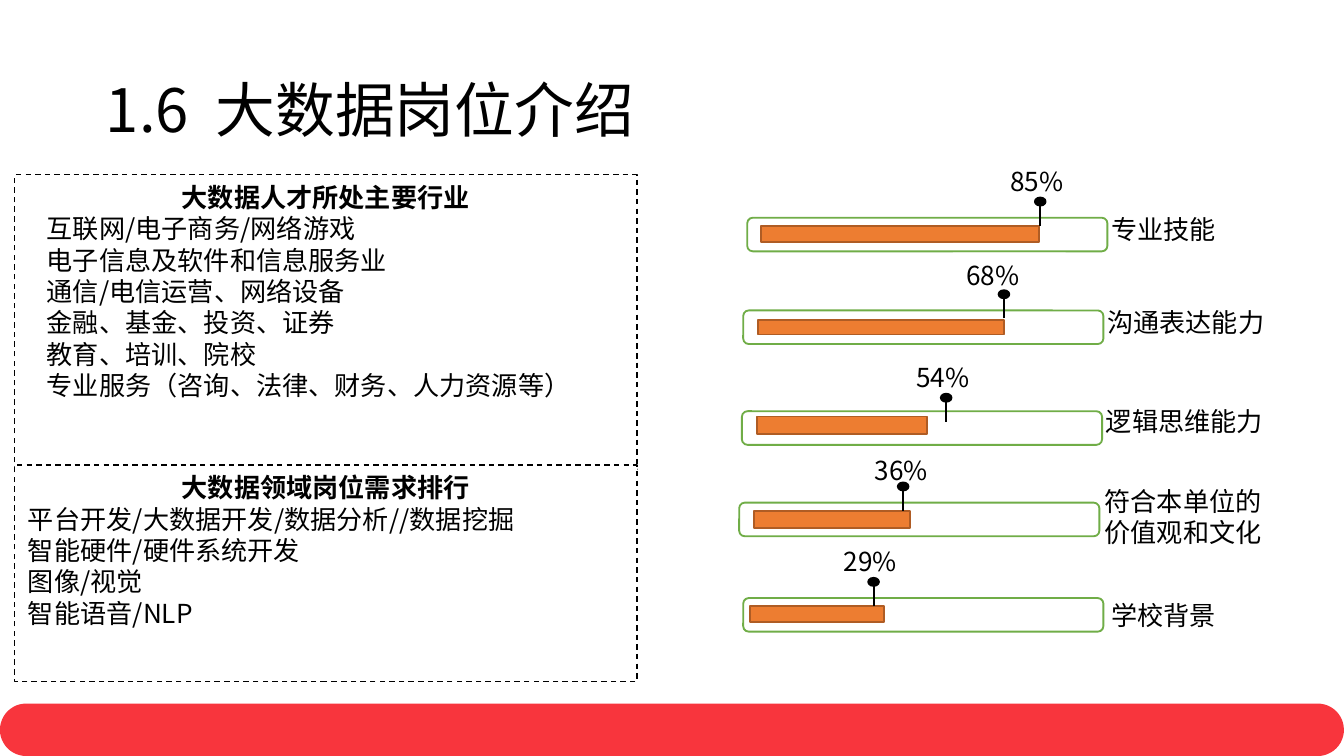
from lxml.etree import SubElement
from pptx import Presentation
from pptx.dml.color import RGBColor
from pptx.enum.dml import MSO_LINE
from pptx.enum.shapes import MSO_CONNECTOR, MSO_SHAPE as Shape
from pptx.enum.text import MSO_ANCHOR as Anchor, PP_ALIGN as Align
from pptx.oxml.ns import qn
from pptx.util import Inches, Pt

# Content
TITLE = "1.6  大数据岗位介绍"
# heading, lines, top, height, first-line indent, line alignment
PANELS = [
    ("大数据人才所处主要行业",
     ["互联网/电子商务/网络游戏", "电子信息及软件和信息服务业",
      "通信/电信运营、网络设备", "金融、基金、投资、证券",
      "教育、培训、院校", "专业服务（咨询、法律、财务、人力资源等）"],
     1.3, 2.19, 0.14, Align.JUSTIFY),
    ("大数据领域岗位需求排行",
     ["平台开发/大数据开发/数据分析//数据挖掘", "智能硬件/硬件系统开发",
      "图像/视觉", "智能语音/NLP"],
     3.46, 1.61, 0, Align.LEFT),
]
# label lines, label (left, top, width), share, share (left, top, width),
# frame (left, top), bar (left, top, width, height), pin (centre, dot top)
SKILLS = [
    (["专业技能"], (8.17, 1.54, 1.49), "85%", (7.42, 1.18, 1.1),
     (5.56, 1.62), (5.66, 1.68, 2.07, 0.12), (7.74, 1.47)),
    (["沟通表达能力"], (8.14, 2.23, 1.55), "68%", (7.09, 1.88, 0.84),
     (5.53, 2.31), (5.64, 2.38, 1.83, 0.11), (7.47, 2.16)),
    (["逻辑思维能力"], (8.13, 2.97, 1.5), "54%", (6.72, 2.64, 0.87),
     (5.52, 3.06), (5.63, 3.1, 1.27, 0.13), (7.04, 2.93)),
    (["符合本单位的", "价值观和文化"], (8.12, 3.56, 1.82), "36%", (6.41, 3.33, 0.83),
     (5.5, 3.74), (5.61, 3.8, 1.16, 0.13), (6.72, 3.59)),
    (["学校背景"], (8.17, 4.41, 1.31), "29%", (6.18, 4.01, 0.9),
     (5.53, 4.45), (5.58, 4.51, 1, 0.12), (6.5, 4.3)),
]

# Style
FONT = "Noto Sans CJK SC"
BLACK = RGBColor(0x00, 0x00, 0x00)
WHITE = RGBColor(0xFF, 0xFF, 0xFF)
RED = RGBColor(0xF8, 0x35, 0x3D)
GREEN = RGBColor(0x70, 0xAD, 0x47)
ORANGE = RGBColor(0xED, 0x7D, 0x31)
RUST = RGBColor(0xAF, 0x5C, 0x24)
SLIDE_W = 10
SLIDE_H = SLIDE_W * 9 / 16
FOOTER_H = 0.39
PANEL_LEFT, PANEL_W = 0.11, 4.63
FRAME_W, FRAME_H = 2.68, 0.25
LINE_H, EXTRA_LINE_H = 0.35, 0.32
DOT_W, DOT_H, PIN_H = 0.08, 0.06, 0.15

deck = Presentation()
deck.slide_width, deck.slide_height = Inches(SLIDE_W), Inches(SLIDE_H)
page = deck.slides.add_slide(deck.slide_layouts[6])


def add_block(kind, left, top, width, height, fill, line=None, weight=1):
    block = page.shapes.add_shape(
        kind, Inches(left), Inches(top), Inches(width), Inches(height))
    block.shadow.inherit = False
    block.fill.solid()
    block.fill.fore_color.rgb = fill
    if line is None:
        block.line.fill.background()
    else:
        block.line.color.rgb = line
        block.line.width = Pt(weight)
    return block


def write(box, lines, align, anchor, size=14, bold_first=False, indent=0):
    frame = box.text_frame
    frame.word_wrap = True
    frame.vertical_anchor = anchor
    for number, text in enumerate(lines):
        para = frame.add_paragraph() if number else frame.paragraphs[0]
        heading = bold_first and number == 0
        para.alignment = Align.CENTER if heading else align
        if indent and not heading:
            props = para._p.get_or_add_pPr()
            props.set("marL", "0")
            props.set("indent", str(Inches(indent)))
        span = para.add_run()
        span.text = text
        span.font.name = FONT
        span.font.size = Pt(size)
        span.font.bold = heading
        span.font.color.rgb = BLACK
        SubElement(span._r.get_or_add_rPr(), qn("a:ea")).set("typeface", FONT)


def add_label(lines, left, top, width):
    height = LINE_H + EXTRA_LINE_H * (len(lines) - 1)
    box = add_block(Shape.RECTANGLE, left, top, width, height, WHITE)
    write(box, lines, Align.JUSTIFY, Anchor.TOP)


def add_pin(centre, top):
    line_top = top + DOT_H
    stem = page.shapes.add_connector(
        MSO_CONNECTOR.STRAIGHT, Inches(centre), Inches(line_top + PIN_H),
        Inches(centre), Inches(line_top))
    stem.line.color.rgb = BLACK
    stem.line.width = Pt(1)
    SubElement(stem._element.spPr, qn("a:effectLst"))
    add_block(Shape.OVAL, centre - DOT_W / 2, top, DOT_W, DOT_H, BLACK, BLACK)


# Footer band and title
footer = add_block(Shape.ROUNDED_RECTANGLE, 0, SLIDE_H - FOOTER_H,
                   SLIDE_W, FOOTER_H, RED)
footer.adjustments[0] = 0.5
title = page.shapes.add_textbox(Inches(0.69), Inches(0.3), Inches(8.62), Inches(1.09))
write(title, [TITLE], Align.LEFT, Anchor.MIDDLE, size=32)
title.text_frame.paragraphs[0].line_spacing = 0.9

# Dashed panels on the left
for heading, lines, top, height, indent, align in PANELS:
    panel = add_block(Shape.RECTANGLE, PANEL_LEFT, top, PANEL_W, height,
                      WHITE, BLACK, 0.75)
    panel.line.dash_style = MSO_LINE.DASH
    write(panel, [heading] + lines, align, Anchor.TOP,
          bold_first=True, indent=indent)

# Skill gauges on the right
for label, label_at, share, share_at, frame_at, bar_at, pin_at in SKILLS:
    add_label(label, *label_at)
    add_block(Shape.ROUNDED_RECTANGLE, *frame_at, FRAME_W, FRAME_H, WHITE, GREEN)
    add_block(Shape.RECTANGLE, *bar_at, ORANGE, RUST)
    add_label([share], *share_at)
    add_pin(*pin_at)

deck.save("out.pptx")
